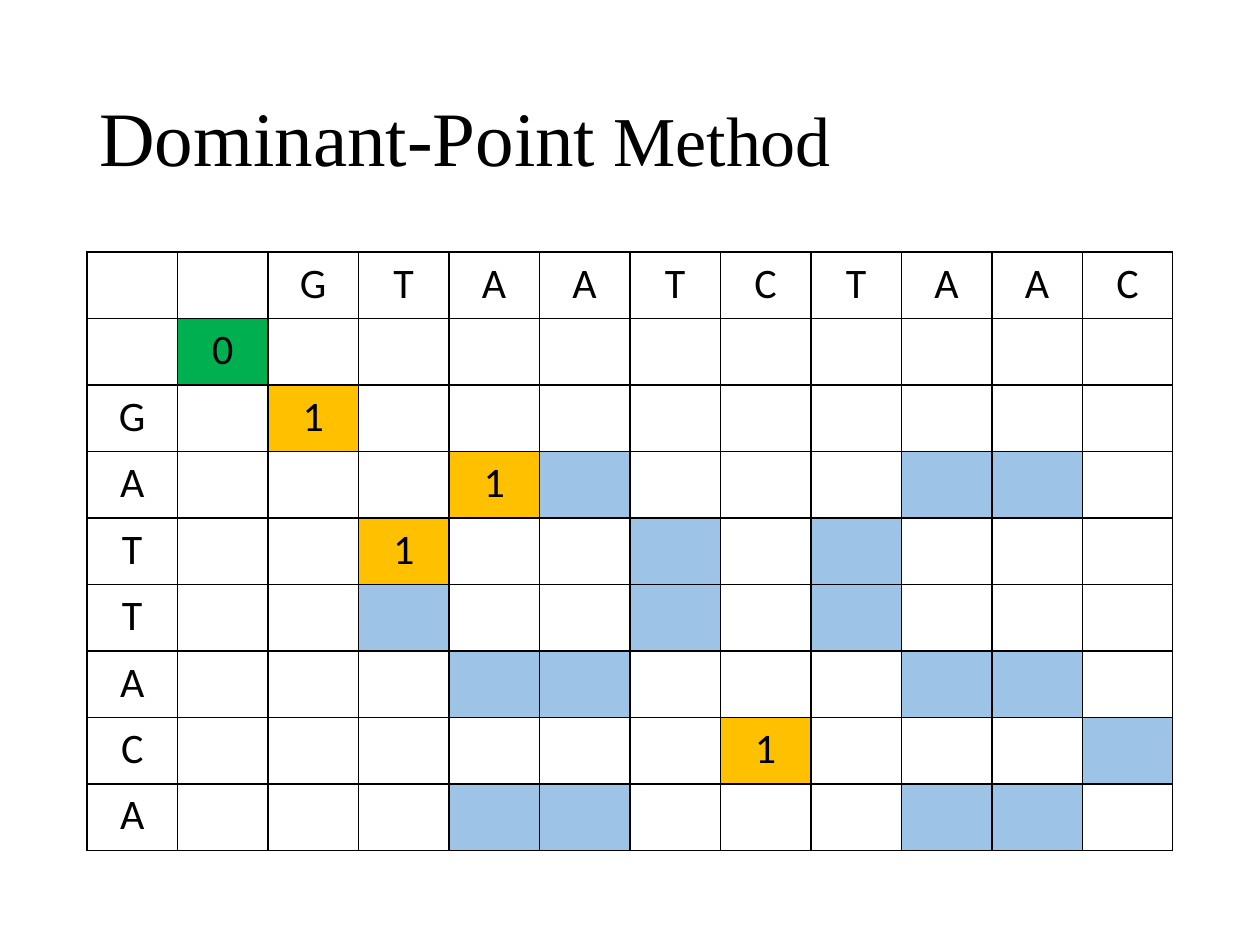
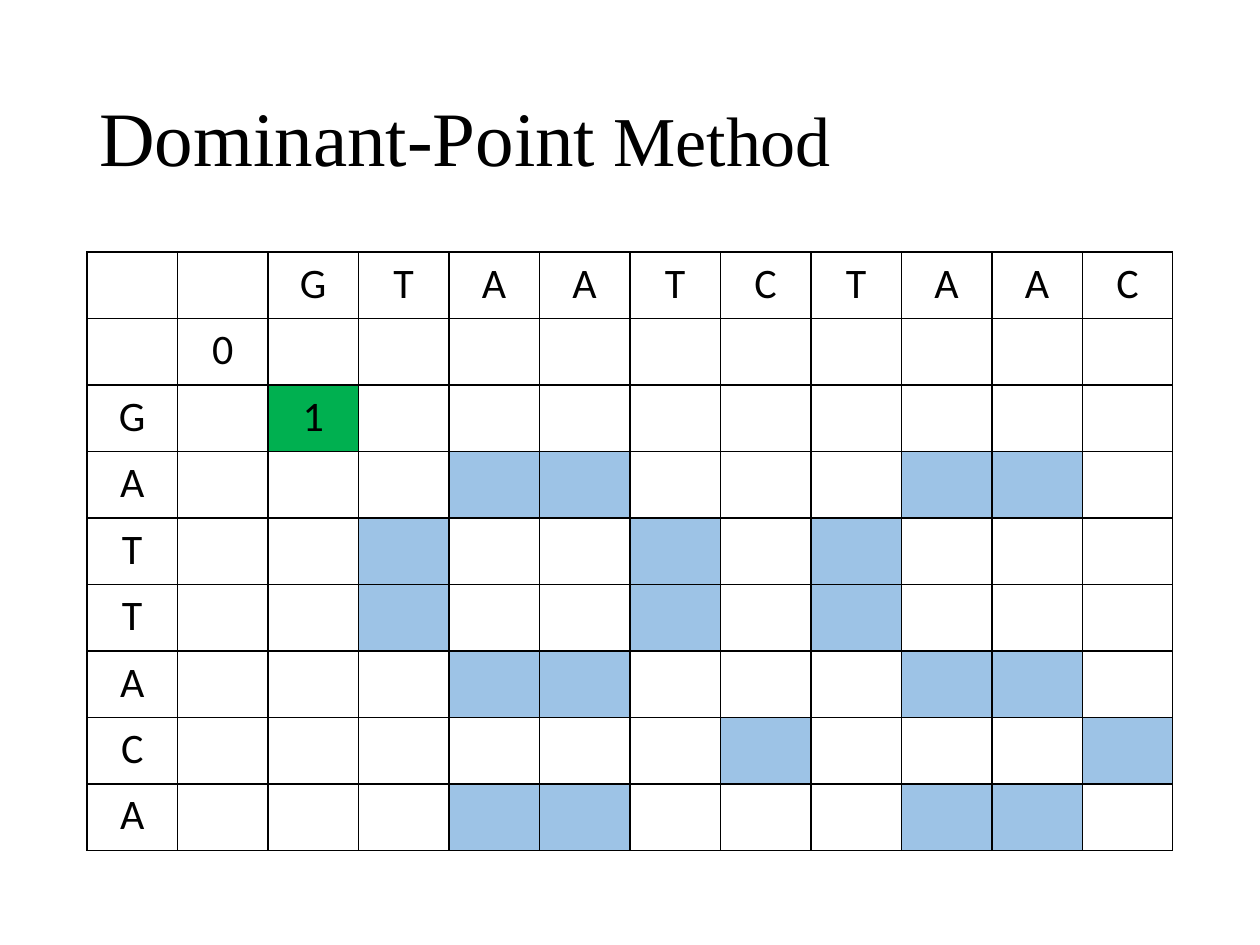
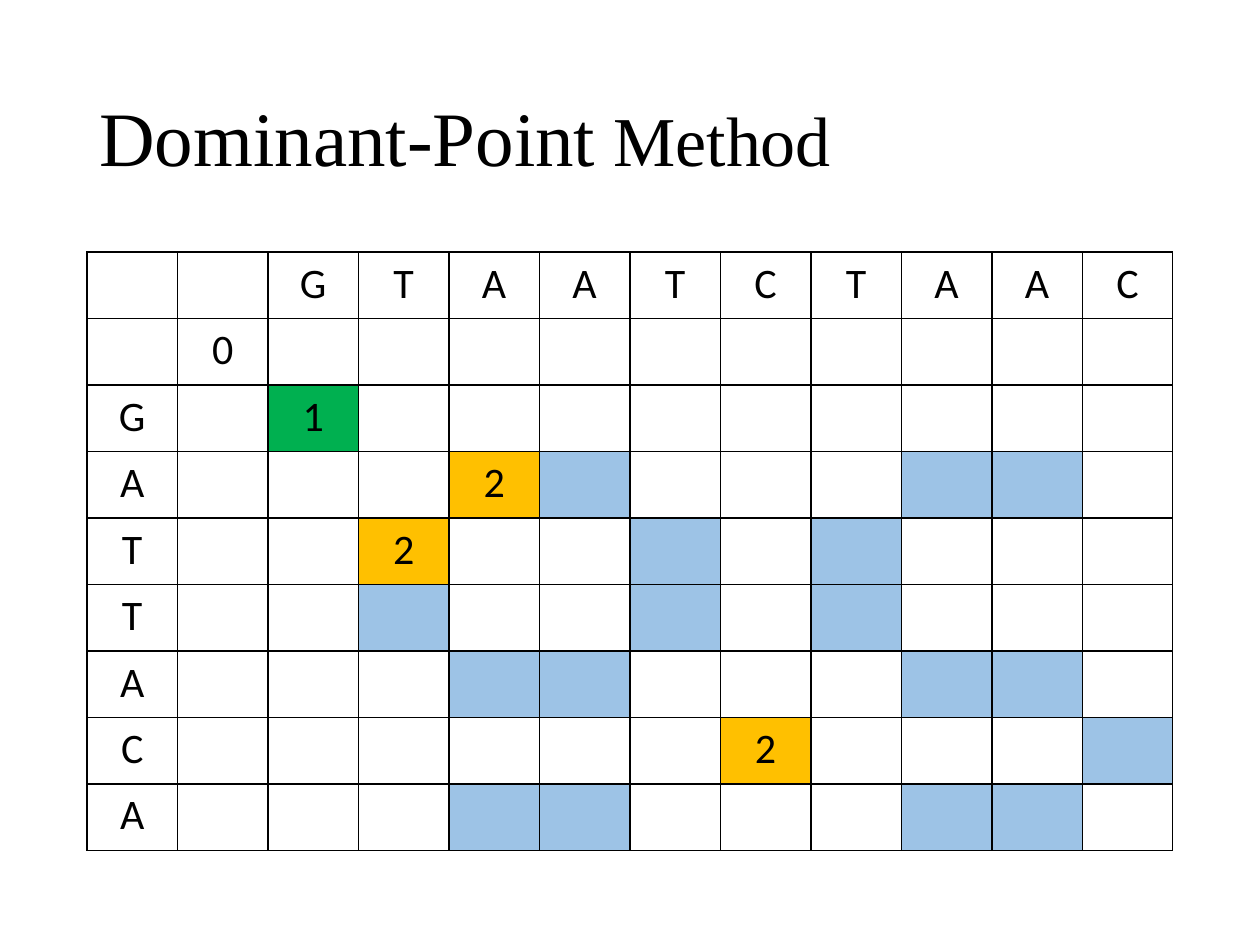
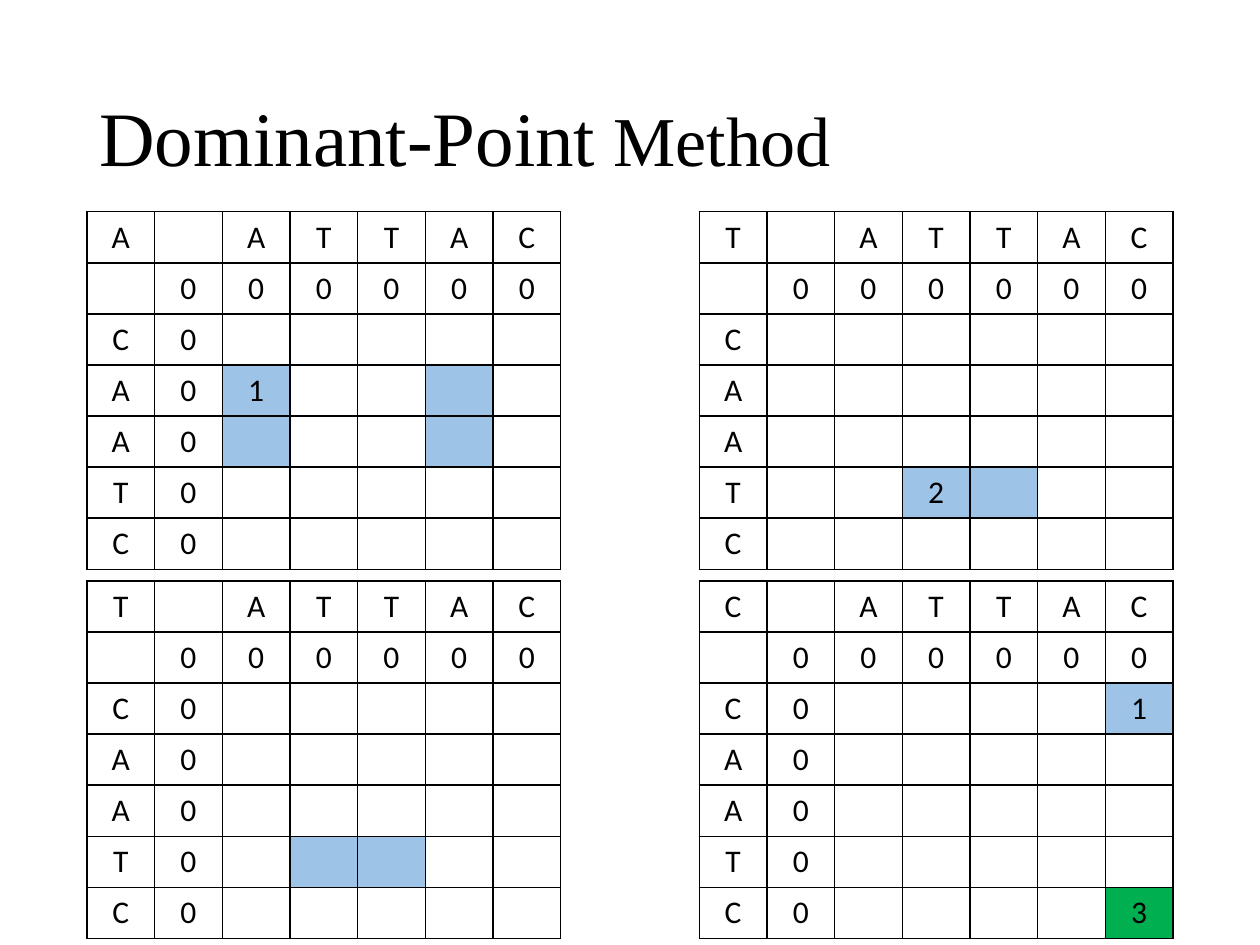
from lxml import etree
from pptx import Presentation
from pptx import util as u
from pptx.dml.color import RGBColor
from pptx.enum import text
from pptx.oxml import ns

TITLE = [("Dominant-Point", 44), (" Method", 40)]
BLACK, WHITE = "000000", "FFFFFF"
MATCH, CURRENT, DOMINANT = "9DC3E6", "00B050", "FFC000"

# Points map (row, column) to (value, fill); the sequences start at index 2.
ACROSS, DOWN = "GTAATCTAAC", "GATTACA"
CANDIDATES = [(3, 4), (4, 3), (7, 7)]
STEPS = [
    {(1, 1): ("0", CURRENT), (2, 2): ("1", DOMINANT),
     **{place: ("1", DOMINANT) for place in CANDIDATES}},
    {(1, 1): ("0", WHITE), (2, 2): ("1", CURRENT)},
    {(1, 1): ("0", WHITE), (2, 2): ("1", CURRENT),
     **{place: ("2", DOMINANT) for place in CANDIDATES}},
]

LAYER_ACROSS, LAYER_DOWN = "ATTAC", "CAATC"
LAYERS = [  # letter of the layer, zeros shown in its first column, points
    ("A", True, {(3, 2): ("1", MATCH)}),
    ("T", False, {(5, 3): ("2", MATCH)}),
    ("T", True, {}),
    ("C", True, {(2, 6): ("1", MATCH), (6, 6): ("3", CURRENT)}),
]

SLIDE_W, SLIDE_H = 10, 7.5
MARGIN = 0.69
CONTENT_W = SLIDE_W - 2 * MARGIN
TITLE_TOP, TITLE_H = 0.4, 1.45
MATRIX_TOP, MATRIX_H = 2, 4.75
LAYER_TOP, LAYER_W, LAYER_H, LAYER_GAP = 1.68, 3.76, 2.84, 0.09


def colour(code):
    return RGBColor.from_string(code)


def add_page(deck):
    """Add a blank slide that carries the shared title."""
    page = deck.slides.add_slide(deck.slide_layouts[6])
    box = page.shapes.add_textbox(*map(u.Inches, (MARGIN, TITLE_TOP, CONTENT_W, TITLE_H)))
    frame = box.text_frame
    frame.word_wrap = True
    frame.vertical_anchor = text.MSO_ANCHOR.MIDDLE
    para = frame.paragraphs[0]
    para.line_spacing = 0.9
    para.font.name = "Times New Roman"
    para.font.color.rgb = colour(BLACK)
    for words, size in TITLE:
        span = para.add_run()
        span.text = words
        span.font.size = u.Pt(size)
    return page


def add_borders(cell):
    properties = cell._tc.get_or_add_tcPr()
    for side in ("lnL", "lnR", "lnT", "lnB"):
        line = etree.SubElement(properties, ns.qn(f"a:{side}"), w=str(u.Pt(1)))
        fill = etree.SubElement(line, ns.qn("a:solidFill"))
        etree.SubElement(fill, ns.qn("a:srgbClr"), val=BLACK)


def add_matrix(page, place, across, down, points, size, anchor, corner="", layer=None):
    """Draw a score matrix; cells whose letters match (within a layer) are shaded."""
    heads, sides = [corner, "", *across], [corner, "", *down]
    table = page.shapes.add_table(len(sides), len(heads), *map(u.Inches, place)).table
    table.first_row = table.horz_banding = False
    for col in table.columns:
        col.width = u.Inches(place[2] / len(heads))
    for row in table.rows:
        row.height = u.Inches(place[3] / len(sides))
    for r, side in enumerate(sides):
        for c, head in enumerate(heads):
            matches = min(r, c) > 1 and side == head and layer in (None, side)
            label = head if r == 0 else side if c == 0 else ""
            value, fill = points.get((r, c), (label, MATCH if matches else WHITE))
            cell = table.cell(r, c)
            add_borders(cell)
            cell.fill.solid()
            cell.fill.fore_color.rgb = colour(fill)
            cell.vertical_anchor = anchor
            para = cell.text_frame.paragraphs[0]
            para.text = value
            para.alignment = text.PP_ALIGN.CENTER
            para.font.name = "Calibri"
            para.font.size = u.Pt(size)
            para.font.color.rgb = colour(BLACK)


def add_layers(page):
    """Place one matrix per letter on a two-by-two grid."""
    for index, (letter, has_side_zeros, points) in enumerate(LAYERS):
        grid_row, grid_col = divmod(index, 2)
        place = (MARGIN + grid_col * (CONTENT_W - LAYER_W),
                 LAYER_TOP + grid_row * (LAYER_H + LAYER_GAP), LAYER_W, LAYER_H)
        zeros = [(1, c) for c in range(1, len(LAYER_ACROSS) + 2)]
        if has_side_zeros:
            zeros += [(r, 1) for r in range(2, len(LAYER_DOWN) + 2)]
        scores = {zero: ("0", WHITE) for zero in zeros} | points
        add_matrix(page, place, LAYER_ACROSS, LAYER_DOWN, scores, 18,
                   text.MSO_ANCHOR.MIDDLE, corner=letter, layer=letter)


def main():
    deck = Presentation()
    deck.slide_width, deck.slide_height = u.Inches(SLIDE_W), u.Inches(SLIDE_H)
    for points in STEPS:
        add_matrix(add_page(deck), (MARGIN, MATRIX_TOP, CONTENT_W, MATRIX_H),
                   ACROSS, DOWN, points, 24, text.MSO_ANCHOR.TOP)
    add_layers(add_page(deck))
    deck.save("out.pptx")


if __name__ == "__main__":
    main()
